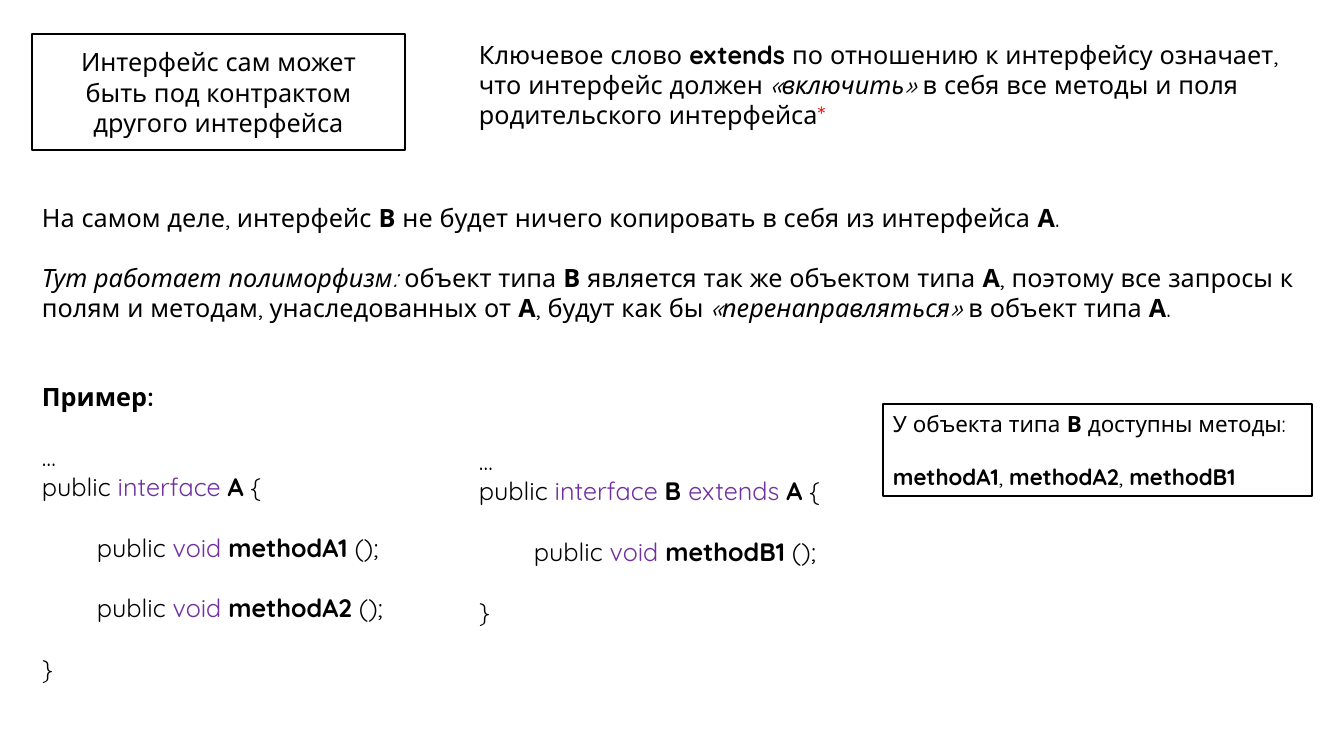
from pptx import Presentation
from pptx.dml.color import RGBColor
from pptx.enum.shapes import MSO_SHAPE
from pptx.enum.text import MSO_ANCHOR, MSO_AUTO_SIZE, PP_ALIGN
from pptx.util import Emu, Pt

PX = 914400 / 100.8
FONT = "Quicksand"
BLACK = RGBColor(0x00, 0x00, 0x00)
WHITE = RGBColor(0xFF, 0xFF, 0xFF)
VIOLET = RGBColor(0x70, 0x30, 0xA0)
RED = RGBColor(0xFF, 0x00, 0x00)
RECT = MSO_SHAPE.RECTANGLE
TOP, MIDDLE, BOTTOM = MSO_ANCHOR.TOP, MSO_ANCHOR.MIDDLE, MSO_ANCHOR.BOTTOM
LEFT, CENTER = PP_ALIGN.LEFT, PP_ALIGN.CENTER
GROW = MSO_AUTO_SIZE.SHAPE_TO_FIT_TEXT

# Run styles
BOLD = {"bold": True}
ITALIC = {"italic": True}
KEYWORD = {"color": VIOLET}
NOTE = {"color": RED}


def px(n):
    return Emu(round(n * PX))


def add_text(box, paragraphs, size=18, align=LEFT, anchor=TOP, inset=(10, 5), framed=False):
    """Each paragraph is (lines of gap above, indent, runs); a run is text or (text, style)."""
    x, y, w, h = map(px, box)
    if framed:
        sp = s.shapes.add_shape(RECT, x, y, w, h)
        sp.shadow.inherit = False
        sp.fill.solid()
        sp.fill.fore_color.rgb = WHITE
        sp.line.color.rgb = BLACK
        sp.line.width = Pt(1)
    else:
        sp = s.shapes.add_textbox(x, y, w, h)
    tf = sp.text_frame
    tf.word_wrap = True
    tf.auto_size = GROW
    tf.vertical_anchor = anchor
    tf.margin_left = tf.margin_right = px(inset[0])
    tf.margin_top = tf.margin_bottom = px(inset[1])
    for i, (gap, indent, runs) in enumerate(paragraphs):
        p = tf.add_paragraph() if i else tf.paragraphs[0]
        p.alignment = align
        if gap:
            p.space_before = Pt(1.2 * size * gap)
        if indent:
            p._p.get_or_add_pPr().set("marL", str(px(indent)))
        for run in runs:
            text, style = (run, {}) if isinstance(run, str) else run
            r = p.add_run()
            r.text = text
            r.font.name = FONT
            r.font.size = Pt(size)
            r.font.bold = style.get("bold", False)
            r.font.italic = style.get("italic", False)
            r.font.color.rgb = style.get("color", BLACK)


prs = Presentation()
prs.slide_width, prs.slide_height = px(1344), px(756)
s = prs.slides.add_slide(prs.slide_layouts[6])

# Statement and the meaning of extends
add_text((32, 34, 373, 116),
         [(0, 0, ["Интерфейс сам может быть под контрактом другого интерфейса"])],
         align=CENTER, anchor=MIDDLE, inset=(20, 12), framed=True)
add_text((469, 34, 844, 102), [
    (0, 0, ["Ключевое слово ", ("extends ", BOLD),
            "по отношению к интерфейсу означает, что интерфейс должен ",
            ("«включить» ", ITALIC),
            "в себя все методы и поля родительского интерфейса", ("*", NOTE)]),
])

# Explanation
add_text((32, 197, 1280, 132), [
    (0, 0, ["На самом деле, интерфейс ", ("В", BOLD),
            " не будет ничего копировать в себя из интерфейса ", ("А", BOLD), "."]),
    (1, 0, [("Тут работает полиморфизм: ", ITALIC), "объект типа ", ("В", BOLD),
            " является так же объектом типа ", ("А", BOLD),
            ", поэтому все запросы к полям и методам, унаследованных от ", ("А", BOLD),
            ", будут как бы ", ("«перенаправляться» ", ITALIC),
            "в объект типа ", ("А", BOLD), "."]),
])

# Code of the two interfaces
method_a1, method_a2, method_b1 = [
    (1, 55, ["public ", ("void ", KEYWORD), (name, BOLD), " ();"])
    for name in ("methodA1", "methodA2", "methodB1")]
closing = (1, 0, ["}"])
add_text((32, 376, 414, 315), [
    (0, 0, [("Пример:", BOLD)]),
    (1, 0, ["…"]),
    (0, 0, ["public ", ("interface ", KEYWORD), ("A", BOLD), " {"]),
    method_a1, method_a2, closing,
])
add_text((469, 378, 414, 254), [
    (0, 0, ["…"]),
    (0, 0, ["public ", ("interface ", KEYWORD), ("B ", BOLD),
            ("extends ", KEYWORD), ("A", BOLD), " {"]),
    method_b1, closing,
], anchor=BOTTOM)

# Methods available to B
add_text((883, 404, 429, 92), [
    (0, 0, ["У объекта типа ", ("В", BOLD), " доступны методы:"]),
    (1, 0, [("methodA1", BOLD), ", ", ("methodA2", BOLD), ", ", ("methodB1", BOLD)]),
], size=16, anchor=MIDDLE, framed=True)

prs.save("out.pptx")
